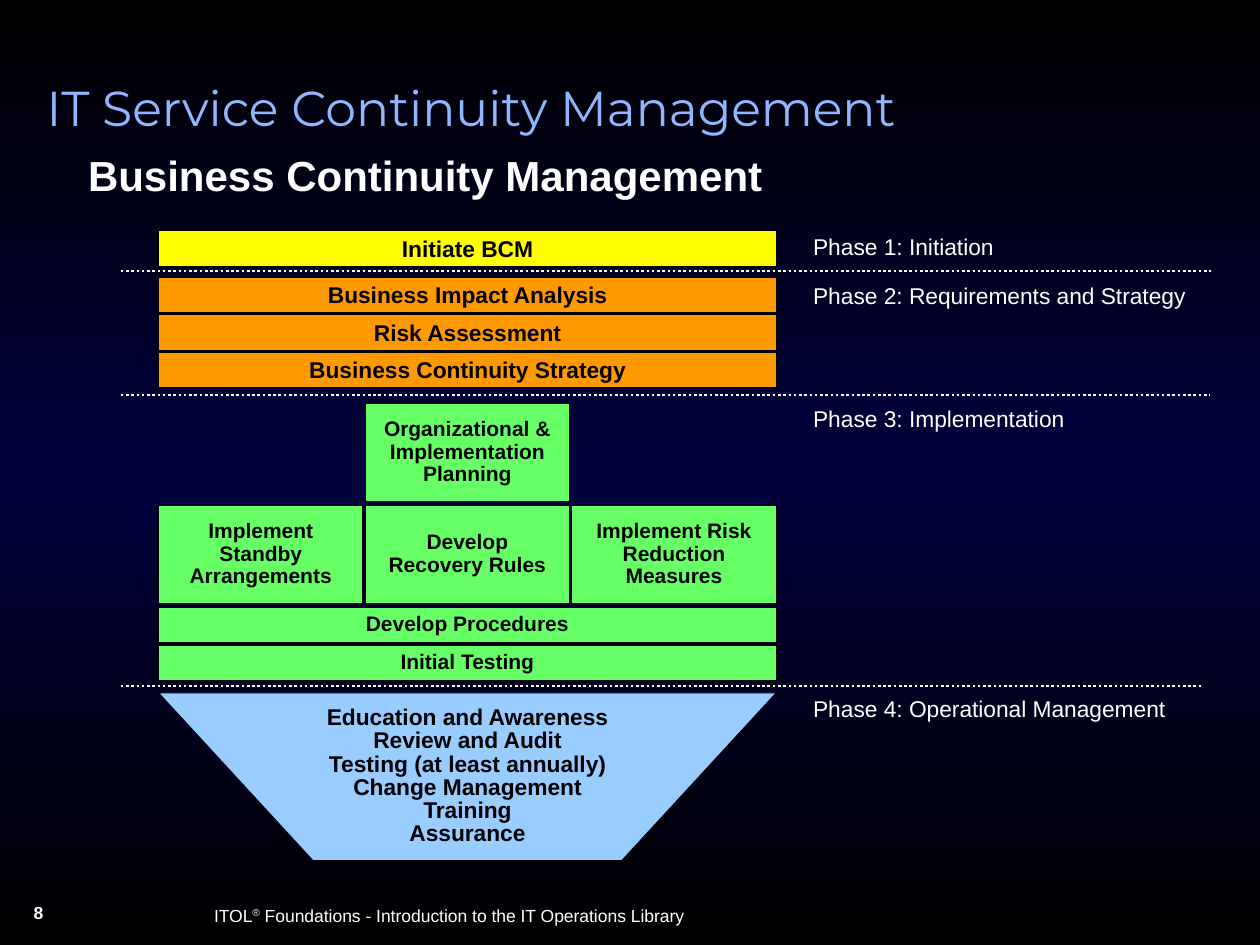
from copy import deepcopy

from lxml import etree
from pptx import Presentation
from pptx.dml.color import RGBColor
from pptx.enum import dml, shapes, text
from pptx.oxml import ns
from pptx.util import Pt

BLACK = RGBColor(0x00, 0x00, 0x00)
NAVY = RGBColor(0x00, 0x00, 0x3C)
WHITE = RGBColor(0xFF, 0xFF, 0xFF)
SKY = RGBColor(0x91, 0xB6, 0xFF)
YELLOW = RGBColor(0xFF, 0xFF, 0x00)
ORANGE = RGBColor(0xFF, 0x99, 0x00)
GREEN = RGBColor(0x66, 0xFF, 0x66)
ICE = RGBColor(0x99, 0xCC, 0xFF)

LEFT, WIDTH = 90.7, 352.8
BAR_HEIGHT = 20.2


def write(shape, wording, size, color, bold=False, spacing=None,
          align=text.PP_ALIGN.LEFT, anchor=text.MSO_ANCHOR.TOP,
          wrap=True, font="Arial"):
    """Put wording into a shape and format every run."""
    frame = shape.text_frame
    frame.text = wording
    frame.word_wrap = wrap
    frame.auto_size = text.MSO_AUTO_SIZE.NONE
    frame.vertical_anchor = anchor
    for paragraph in frame.paragraphs:
        paragraph.alignment = align
        if spacing:
            paragraph.line_spacing = spacing
        for run in paragraph.runs:
            run.font.name, run.font.size = font, Pt(size)
            run.font.bold = bold
            run.font.color.rgb = color


def add_label(slide, box, wording, size, **style):
    """Add a white text box."""
    label = slide.shapes.add_textbox(*map(Pt, box))
    write(label, wording, size, WHITE, **style)
    return label


def fill_step(step, wording, color, size, spacing=None, wrap=True):
    """Give a process step its fill, outline and centred bold text."""
    step.shadow.inherit = False
    step.fill.solid()
    step.fill.fore_color.rgb = color
    step.line.color.rgb = BLACK
    step.line.width = Pt(0.5)
    write(step, wording, size, BLACK, True, spacing, text.PP_ALIGN.CENTER,
          text.MSO_ANCHOR.MIDDLE, wrap)


def add_step(slide, box, wording, color, size, **style):
    """Add a rectangular process step."""
    step = slide.shapes.add_shape(shapes.MSO_SHAPE.RECTANGLE, *map(Pt, box))
    fill_step(step, wording, color, size, **style)


def add_bars(slide, box, names, color, size, pitch=21.4, **style):
    """Stack full-width bars from the top of the box."""
    left, top, width, height = box
    for row, name in enumerate(names):
        add_step(slide, (left, top + row * pitch, width, height), name,
                 color, size, **style)


def add_implementation(slide, box):
    """Place the planning step, three parallel steps and two bars."""
    left, top, width, _ = box
    gap, cell_height = 1.4, 56.2
    cell_width = (width - 2 * gap) / 3
    steps = (("Organizational & Implementation Planning", 1, 0),
             ("Implement Standby Arrangements", 0, 1),
             ("Develop Recovery Rules", 1, 1),
             ("Implement Risk Reduction Measures", 2, 1))
    for name, column, row in steps:
        cell = (left + column * (cell_width + gap), top + row * 58.3,
                cell_width, cell_height)
        add_step(slide, cell, name, GREEN, 12, spacing=0.9)
    add_bars(slide, (left, top + 116.6, width, BAR_HEIGHT),
             ("Develop Procedures", "Initial Testing"), GREEN, 12,
             pitch=21.8, spacing=0.85)


def add_operations(slide, box):
    """Draw the tapering block of ongoing activities."""
    left, top, width, height = box
    taper, bottom = width / 4, top + height
    outline = slide.shapes.build_freeform(Pt(left), Pt(top))
    outline.add_line_segments(
        [(Pt(x), Pt(y)) for x, y in ((left + taper, bottom),
                                     (left + width - taper, bottom),
                                     (left + width, top))], close=True)
    activities = ("Education and Awareness", "Review and Audit",
                  "Testing (at least annually)", "Change Management",
                  "Training", "Assurance")
    fill_step(outline.convert_to_shape(), "\n".join(activities), ICE, 13,
              spacing=0.85, wrap=False)


def add_divider(slide, left, right, y):
    """Draw a dotted line between two phases."""
    divider = slide.shapes.add_connector(
        shapes.MSO_CONNECTOR.STRAIGHT, Pt(left), Pt(y), Pt(right), Pt(y))
    divider.line.color.rgb = WHITE
    divider.line.width = Pt(1.5)
    divider.line.dash_style = dml.MSO_LINE.ROUND_DOT
    properties = divider.element.find(ns.qn("p:spPr"))
    etree.SubElement(properties, ns.qn("a:effectLst"))


def add_background(slide):
    """Fade the background from black to navy and back."""
    fill = slide.background.fill
    fill.gradient()
    fill.gradient_angle = 90
    stop_list = next(slide.element.iter(ns.qn("a:gsLst")))
    stop_list.append(deepcopy(stop_list[-1]))
    for stop, position, color in zip(fill.gradient_stops, (0, 0.5, 1),
                                     (BLACK, NAVY, BLACK)):
        stop.position = position
        stop.color.rgb = color


def add_heading(slide, box):
    """Place the title and the subtitle below it."""
    left, top, width, height = box
    title = slide.shapes.title
    title.left, title.top, title.width, title.height = map(Pt, box)
    write(title, "IT Service Continuity Management", 28, SKY, spacing=0.9,
          font="Montserrat")
    add_label(slide, (left + 23.8, top + 40.4, 552, 44.6),
              "Business Continuity Management", 24, bold=True, spacing=0.9)


def add_footer(slide, box):
    """Place the slide number and the course name."""
    left, top, width, height = box
    add_label(slide, (left, top, 79, height), "8", 10, bold=True)
    course = add_label(slide, (left + 103, top + 1.5, width - 103, 19.4),
                       "ITOL", 10)
    paragraph = course.text_frame.paragraphs[0]
    for wording in ("®", " Foundations - Introduction to the IT Operations Library"):
        run = paragraph.add_run()
        run.text = wording
        run.font.name, run.font.size = "Arial", Pt(10)
        run.font.color.rgb = WHITE
    paragraph.runs[1].font._element.set("baseline", "30000")


def add_phases(slide):
    """Place the four phases, their labels and the dividers."""
    add_bars(slide, (LEFT, 131.8, WIDTH, BAR_HEIGHT), ("Initiate BCM",),
             YELLOW, 13, wrap=False)
    add_bars(slide, (LEFT, 158.4, WIDTH, BAR_HEIGHT),
             ("Business Impact Analysis", "Risk Assessment",
              "Business Continuity Strategy"), ORANGE, 13, wrap=False)
    add_implementation(slide, (LEFT, 230.4, WIDTH, 158.6))
    add_operations(slide, (LEFT, 396, WIDTH, 95.8))
    for name, top in (("Phase 1: Initiation", 129.6),
                      ("Phase 2: Requirements and Strategy", 157.2),
                      ("Phase 3: Implementation", 227.5),
                      ("Phase 4: Operational Management", 393.3)):
        add_label(slide, (457.6, top, 247, 23), name, 13, wrap=False)
    for right, y in ((692, 154.8), (691, 225.8), (687.6, 392)):
        add_divider(slide, 69, right, y)


def main():
    """Build the slide and save it."""
    deck = Presentation()
    deck.slide_width, deck.slide_height = Pt(720), Pt(540)
    slide = deck.slides.add_slide(deck.slide_layouts.get_by_name("Title Only"))
    add_background(slide)
    add_footer(slide, (12.2, 511.9, 528, 25.2))
    add_heading(slide, (19.4, 44.6, 642, 48.2))
    add_phases(slide)
    deck.save("out.pptx")


main()
